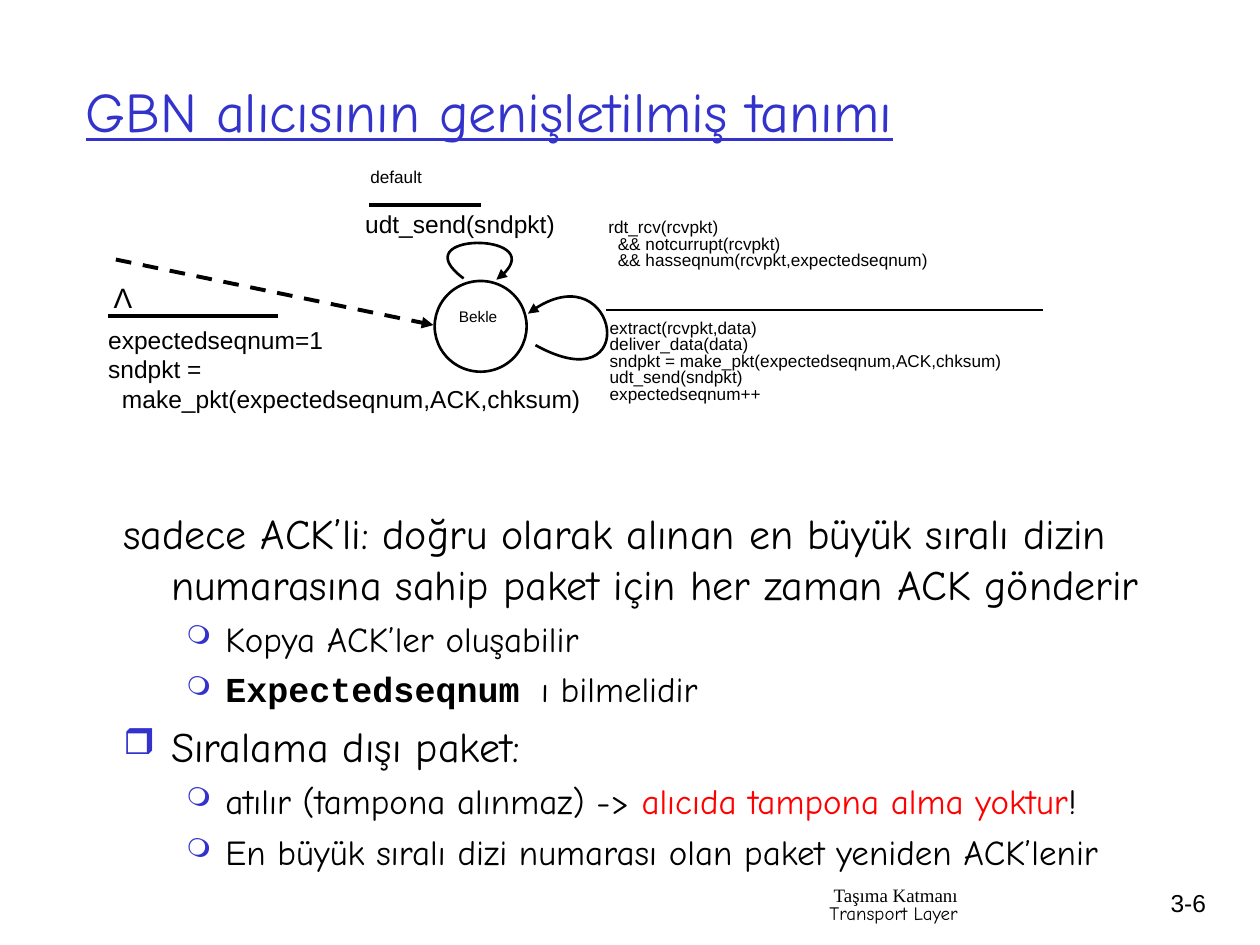
from dataclasses import dataclass
from typing import Optional

from lxml.etree import SubElement
from pptx import Presentation
from pptx.dml.color import RGBColor
from pptx.enum.dml import MSO_LINE
from pptx.enum.shapes import MSO_CONNECTOR, MSO_SHAPE
from pptx.enum.text import MSO_ANCHOR, PP_ALIGN
from pptx.oxml.ns import qn
from pptx.util import Inches, Pt

COLS, ROWS = 100, 75
BLACK, BLUE, RED, WHITE = "000000", "3333CC", "FF0000", "FFFFFF"
SANS, COMIC, MONO, SERIF = "Arial", "Comic Neue", "Courier New", "Times New Roman"
LEFT, MID, RIGHT = PP_ALIGN.LEFT, PP_ALIGN.CENTER, PP_ALIGN.RIGHT


@dataclass
class Run:
    text: str
    font: Optional[str] = None
    color: Optional[str] = None
    bold: bool = False


@dataclass
class Para:
    runs: list
    size: Optional[float] = None
    left: float = 0
    hang: float = 0
    right: float = 0
    before: float = 0
    mark: str = ""
    scale: int = 100
    level: int = 0


@dataclass
class Note:
    area: tuple
    lines: list
    size: float
    gap: Optional[float] = None
    align: PP_ALIGN = LEFT
    wrap: bool = True


@dataclass
class Line:
    start: tuple
    end: tuple
    width: float = 2.25
    arrow: bool = False


def cell(count: float) -> int:
    return Inches(count * 10 / COLS)


def paint(hue: str) -> RGBColor:
    return RGBColor.from_string(hue)


def place(shape, area: tuple) -> None:
    shape.left, shape.top, shape.width, shape.height = map(cell, area)


def stroke(line, width: float, arrow: bool = False) -> None:
    line.color.rgb = paint(BLACK)
    line.width = Pt(width)
    if arrow:
        SubElement(line._get_or_add_ln(), qn("a:tailEnd"), type="triangle")


def indent(para, item: Para) -> None:
    props = para._p.get_or_add_pPr()
    for key, count in (("marL", item.left), ("marR", item.right), ("indent", -item.hang)):
        if count:
            props.set(key, str(cell(count)))
    if item.mark:
        tint = SubElement(props, qn("a:buClr"))
        SubElement(tint, qn("a:srgbClr"), val=BLUE)
        SubElement(props, qn("a:buSzPct"), val=str(item.scale * 1000))
        SubElement(props, qn("a:buChar"), char=item.mark)


def write(frame, items: list, *, size: float, font: str = SANS, color: str = BLACK,
          align: PP_ALIGN = LEFT, gap: Optional[float] = None, wrap: bool = True,
          under: bool = False) -> None:
    frame.word_wrap = wrap
    for index, entry in enumerate(items):
        item = Para([Run(entry)]) if isinstance(entry, str) else entry
        para = frame.paragraphs[0] if index == 0 else frame.add_paragraph()
        para.alignment = align
        para.level = item.level
        if gap:
            para.line_spacing = gap
        if item.before:
            para.space_before = Pt(item.before)
        indent(para, item)
        for part in item.runs:
            run = para.add_run()
            run.text = part.text
            face = run.font
            face.name = part.font or font
            face.size = Pt(item.size or size)
            face.bold = part.bold
            face.underline = under
            face.color.rgb = paint(part.color or color)


def label(slide, area: tuple, items: list, **look) -> None:
    box = slide.shapes.add_textbox(*map(cell, area))
    write(box.text_frame, items, **look)


def rule(slide, item: Line) -> None:
    link = slide.shapes.add_connector(
        MSO_CONNECTOR.STRAIGHT, *map(cell, item.start + item.end))
    SubElement(link._element.spPr, qn("a:effectLst"))
    if item.arrow:
        link.line.dash_style = MSO_LINE.DASH
    stroke(link.line, item.width, item.arrow)


def loop(slide, start: tuple, *knots: tuple) -> None:
    pen = slide.shapes.build_freeform(cell(start[0]), cell(start[1]))
    pen.add_line_segments([tuple(map(cell, knot)) for knot in knots], close=False)
    shape = pen.convert_to_shape()
    shape.shadow.inherit = False
    shape.fill.background()
    stroke(shape.line, 1.5, True)
    steps = list(shape._element.iter(qn("a:lnTo")))
    trail = steps[0].getparent()
    curve = SubElement(trail, qn("a:cubicBezTo"))
    for step in steps:
        curve.append(step[0])
        trail.remove(step)


def point(*runs: Run) -> Para:
    return Para(list(runs), 20, left=8.1, hang=3.1, before=5, mark="❍", scale=75, level=1)


def head(text: str, **look) -> Para:
    return Para([Run(text)], 24, left=3.8, hang=3.8, before=6, **look)


BODY = [
    head("sadece ACK’li: doğru olarak alınan en büyük sıralı dizin "
         "numarasına sahip paket için her zaman ACK gönderir"),
    point(Run("Kopya ACK’ler oluşabilir")),
    point(Run("Expectedseqnum ", MONO, bold=True), Run("ı bilmelidir")),
    head("Sıralama dışı paket:", mark="❒", scale=85),
    point(Run("atılır (tampona alınmaz) -> "),
          Run("alıcıda tampona alma yoktur", color=RED), Run("!")),
    point(Run("En büyük sıralı dizi numarası olan paket yeniden ACK’lenir")),
]

NOTES = [
    Note((33.6, 24.2, 8.7, 2.6), ["Bekle"], 8.8, 0.8, MID),
    Note((28, 16.1, 17.7, 3.4), ["udt_send(sndpkt)"], 14),
    Note((28.4, 13, 7.9, 2.7), ["default"], 9.8, 0.8),
    Note((47.3, 17, 39, 6.2), [
        "rdt_rcv(rcvpkt)",
        Para([Run("&& notcurrupt(rcvpkt)")], left=0.75),
        Para([Run("&& hasseqnum(rcvpkt,expectedseqnum)")], left=0.75),
    ], 9.8, 0.8),
    Note((47.4, 25, 47.2, 9.4), [
        "extract(rcvpkt,data)",
        "deliver_data(data)",
        "sndpkt = make_pkt(expectedseqnum,ACK,chksum)",
        "udt_send(sndpkt)",
        "expectedseqnum++",
    ], 9.8, 0.8),
    Note((7.6, 25.3, 39.8, 10.7), [
        "expectedseqnum=1",
        "sndpkt =",
        Para([Run("make_pkt(expectedseqnum,ACK,chksum)")], left=1.1),
    ], 14),
    Note((8, 21.8, 3.5, 3.7), ["Λ"], 16, align=MID, wrap=False),
    Note((59.2, 70, 31.7, 5), [
        Para([Run("Taşıma Katmanı", SERIF)], right=13.9),
        Para([Run("Transport Layer", COMIC)]),
    ], 10.8, 0.8, RIGHT),
    Note((89.3, 70, 7.4, 5), ["3-6"], 14, align=RIGHT),
]

LINES = [
    Line((9.2, 20.6), (34.4, 25.8), arrow=True),
    Line((29.3, 16.3), (38.2, 16.3)),
    Line((48.1, 24.6), (82.8, 24.6), 1.5),
    Line((8.6, 25.1), (22.1, 25.1)),
]

LOOPS = [
    ((42.5, 27.4), (51, 32.1), (49, 19.5), (41.9, 24.9)),
    ((36.8, 22.1), (31.8, 18.4), (44.5, 18.4), (39.4, 22.2)),
]


def main() -> None:
    deck = Presentation()
    deck.slide_width, deck.slide_height = cell(COLS), cell(ROWS)
    slide = deck.slides.add_slide(deck.slide_layouts[5])
    title = slide.shapes.title
    place(title, (5.8, 2.5, 85, 12.5))
    title.text_frame.vertical_anchor = MSO_ANCHOR.MIDDLE
    write(title.text_frame, ["GBN alıcısının genişletilmiş tanımı"],
          size=32, font=COMIC, color=BLUE, under=True)
    label(slide, (8.8, 39.8, 89.1, 31.2), BODY, size=24, font=COMIC)
    state = slide.shapes.add_shape(MSO_SHAPE.OVAL, *map(cell, (34.5, 22.3, 7.3, 7.2)))
    state.shadow.inherit = False
    state.fill.solid()
    state.fill.fore_color.rgb = paint(WHITE)
    stroke(state.line, 1.5)
    for item in LINES:
        rule(slide, item)
    for knots in LOOPS:
        loop(slide, *knots)
    for note in NOTES:
        label(slide, note.area, note.lines, size=note.size, gap=note.gap,
              align=note.align, wrap=note.wrap)
    deck.save("out.pptx")


if __name__ == "__main__":
    main()
